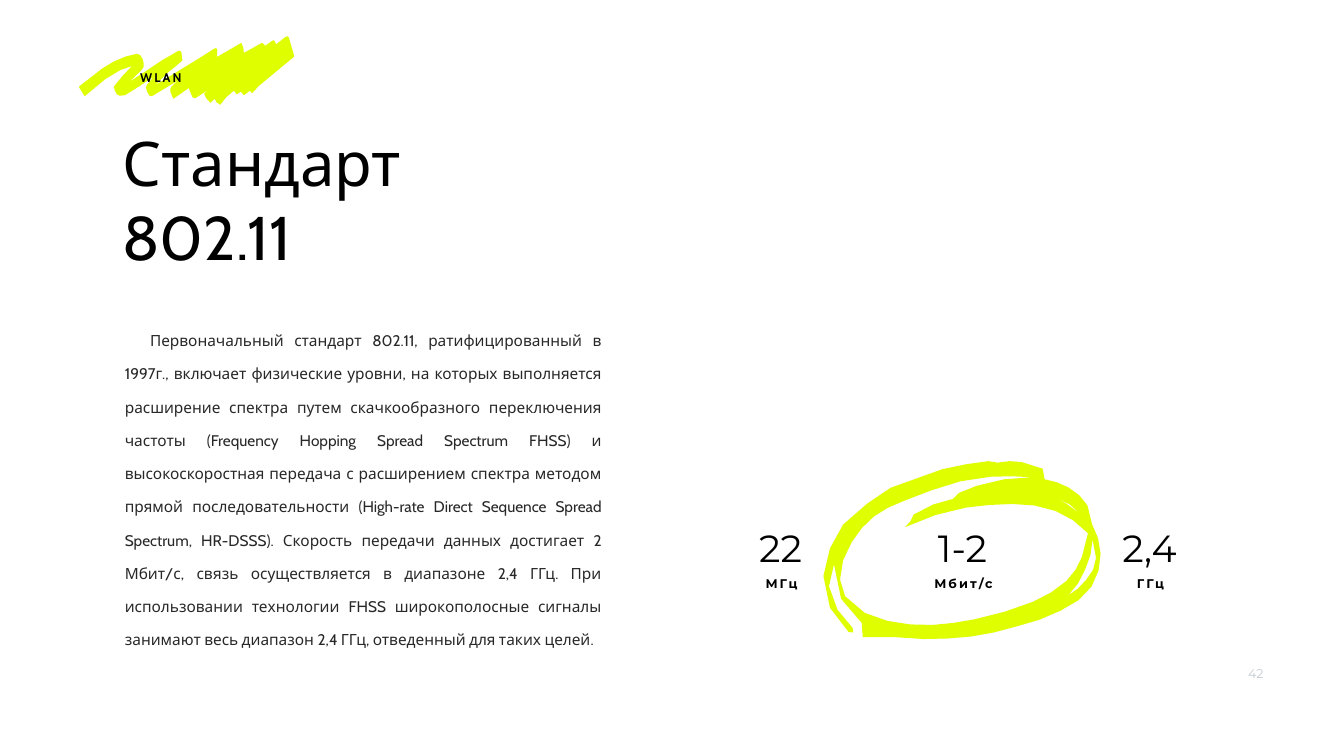
from dataclasses import dataclass, field

from pptx import Presentation
from pptx.dml.color import RGBColor
from pptx.enum.text import MSO_ANCHOR, MSO_AUTO_SIZE, PP_ALIGN
from pptx.util import Inches, Pt

COLORS = {"lime": "DFFE00", "ink": "000000", "body": "292829", "page": "C3CBD0"}
UNIT = Inches(0.01)  # outlines are drawn in hundredths of an inch

# An outline is a list of closed contours, each a run of x,y points.
RING = [
    "1962,915 1918,921 1870,931 1767,968 1720,1000 1673,1041 1647,1088 1634,1143 "
    "1647,1206 1684,1254 1693,1255 1692,1246 1662,1210 1645,1163 1655,1120 1669,1188 "
    "1710,1236 1712,1264 1772,1264 1833,1268 1880,1267 1927,1263 1972,1255 2017,1243 "
    "2062,1230 2104,1212 2140,1191 2166,1164 2180,1132 2184,1099 2179,1068 2167,1040 "
    "2158,1003 2142,983 2120,967 2097,957 2073,951 2069,930 2028,917 2004,915 1979,918",
    "2007,945 2048,947 1993,951 1938,964 1903,978 1891,990 1852,1001 1813,1021 "
    "1807,1034 1796,1046 1856,1022 1918,1007 1963,1002 2009,1000 2053,1003 2095,1014 "
    "2129,1032 2159,1058 2147,1105 2134,1131 2116,1153 2085,1176 2050,1194 1993,1214 "
    "1933,1229 1892,1236 1851,1240 1806,1239 1761,1232 1716,1216 1677,1183 1667,1150 "
    "1673,1112 1690,1076 1710,1048 1734,1025 1761,1008 1791,995 1848,973 1906,955 1966,946",
    "2093,987 2123,1001 2144,1020 2117,1000",
    "2168,1070 2175,1107 2169,1131 2155,1151 2139,1168 2120,1181 2139,1158 2153,1131 2164,1101",
]
SCRIBBLE_TOP = (
    "159,170 203,136 226,122 250,112 271,107 278,109 283,117 285,125 285,133 280,140 "
    "256,163 288,142 321,120 354,101 358,101 360,104 362,120 348,132 333,144 308,169 "
    "349,144 385,122 409,107 426,96 429,96 431,97 431,113 479,85 483,95 484,105 520,85 "
    "524,88 526,91 542,80 544,80 548,88 567,73 570,72 573,74 583,108 583,113"
)
SCRIBBLE_BOTTOM = (
    "512,172 506,179 500,185 496,180 484,189 478,182 470,187 464,180 449,193 437,208 "
    "430,203 426,196 418,204 410,196 405,186 412,179 401,186 391,193 387,195 382,193 "
    "375,176 377,173 360,185 344,196 338,182 338,176 341,171 353,160 303,190 299,191 "
    "296,189 292,182 290,175 290,172 292,168 305,152 277,171 248,189 237,190 232,187 "
    "228,180 226,172 243,151 262,131 239,139 209,157 168,191 158,175 157,172"
)
SCRIBBLE = [" ".join([SCRIBBLE_TOP, SCRIBBLE_BOTTOM])]
BODY = (
    "\tПервоначальный стандарт 802.11, ратифицированный в 1997г., включает "
    "физические уровни, на которых выполняется расширение спектра путем "
    "скачкообразного переключения частоты (Frequency Hopping Spread Spectrum "
    "FHSS) и высокоскоростная передача с расширением спектра методом прямой "
    "последовательности (High-rate Direct Sequence Spread Spectrum, HR-DSSS). "
    "Скорость передачи данных достигает 2 Мбит/с, связь осуществляется в "
    "диапазоне 2,4 ГГц. При использовании технологии FHSS широкополосные "
    "сигналы занимают весь диапазон 2,4 ГГц, отведенный для таких целей."
)
STATS = [(51.29, "22", "МГц"), (64.83, "1-2", "Мбит/с"), (78.74, "2,4", "ГГц")]


@dataclass
class Deck:
    """Holds the style and the current slide; boxes are in percent of the slide."""

    prs: Presentation = field(default_factory=Presentation)
    head: str = "Cabin"
    figures: str = "Montserrat"

    def add_slide(self, width, height):
        self.prs.slide_width, self.prs.slide_height = Inches(width), Inches(height)
        self.s = self.prs.slides.add_slide(self.prs.slide_layouts[6])

    def text(self, box, text, size, font, color="ink", align=PP_ALIGN.LEFT,
             line=None, inset=0.04, grow=False):
        w, h = self.prs.slide_width, self.prs.slide_height
        x, y, cx, cy = (round(v * full / 100) for v, full in zip(box, (w, h, w, h)))
        tf = self.s.shapes.add_textbox(x, y, cx, cy).text_frame
        tf.word_wrap = True
        tf.auto_size = MSO_AUTO_SIZE.SHAPE_TO_FIT_TEXT if grow else MSO_AUTO_SIZE.NONE
        tf.margin_left = tf.margin_right = Inches(inset)
        tf.margin_top = tf.margin_bottom = Inches(min(inset, 0.05))
        p = tf.paragraphs[0]
        p.alignment = align
        if line:
            p.line_spacing = line
        r = p.add_run()
        r.text = text
        r.font.size, r.font.name = Pt(size), font
        r.font.color.rgb = RGBColor.from_string(COLORS[color])
        return tf, r

    def label(self, box, text, font, align=PP_ALIGN.LEFT):
        """Small bold caption with wide letter spacing."""
        tf, r = self.text(box, text, 18, font, align=align, grow=True)
        tf.vertical_anchor = MSO_ANCHOR.MIDDLE
        r.font.bold = True
        r.font._element.set("spc", "300")

    def stat(self, x, value, unit):
        self.label((x, 75.93, 13.72, 2.6), unit, self.figures, PP_ALIGN.CENTER)
        self.text((x - 0.15, 68, 13.87, 7.33), value, 54, self.figures,
                  align=PP_ALIGN.CENTER, line=1.2)

    def brush(self, outline, color="lime"):
        contours = [[tuple(map(int, point.split(","))) for point in row.split()]
                    for row in outline]
        pen = self.s.shapes.build_freeform(*contours[0][0], scale=UNIT)
        for i, (start, *rest) in enumerate(contours):
            if i:
                pen.move_to(*start)
            pen.add_line_segments(rest, close=True)
        sp = pen.convert_to_shape()
        sp.shadow.inherit = False
        sp.fill.solid()
        sp.fill.fore_color.rgb = RGBColor.from_string(COLORS[color])
        sp.line.fill.background()


def main():
    deck = Deck()
    deck.add_slide(26.67, 15)
    deck.brush(RING)
    deck.text((8.96, 16.27, 31.16, 22.93), "Стандарт 802.11", 88, deck.head)
    deck.text((8.92, 41.53, 36.22, 45.13), BODY, 22, deck.head, "body",
              PP_ALIGN.JUSTIFY, line=1.8, inset=0.1, grow=True)
    for x, value, unit in STATS:
        deck.stat(x, value, unit)
    deck.brush(SCRIBBLE)
    deck.label((10.27, 8.93, 22.95, 2.6), "WLAN", deck.head)
    deck.text((92.5, 87.73, 3.67, 3.53), "42", 18, deck.figures, "page", inset=0.1)
    deck.prs.save("out.pptx")


if __name__ == "__main__":
    main()
